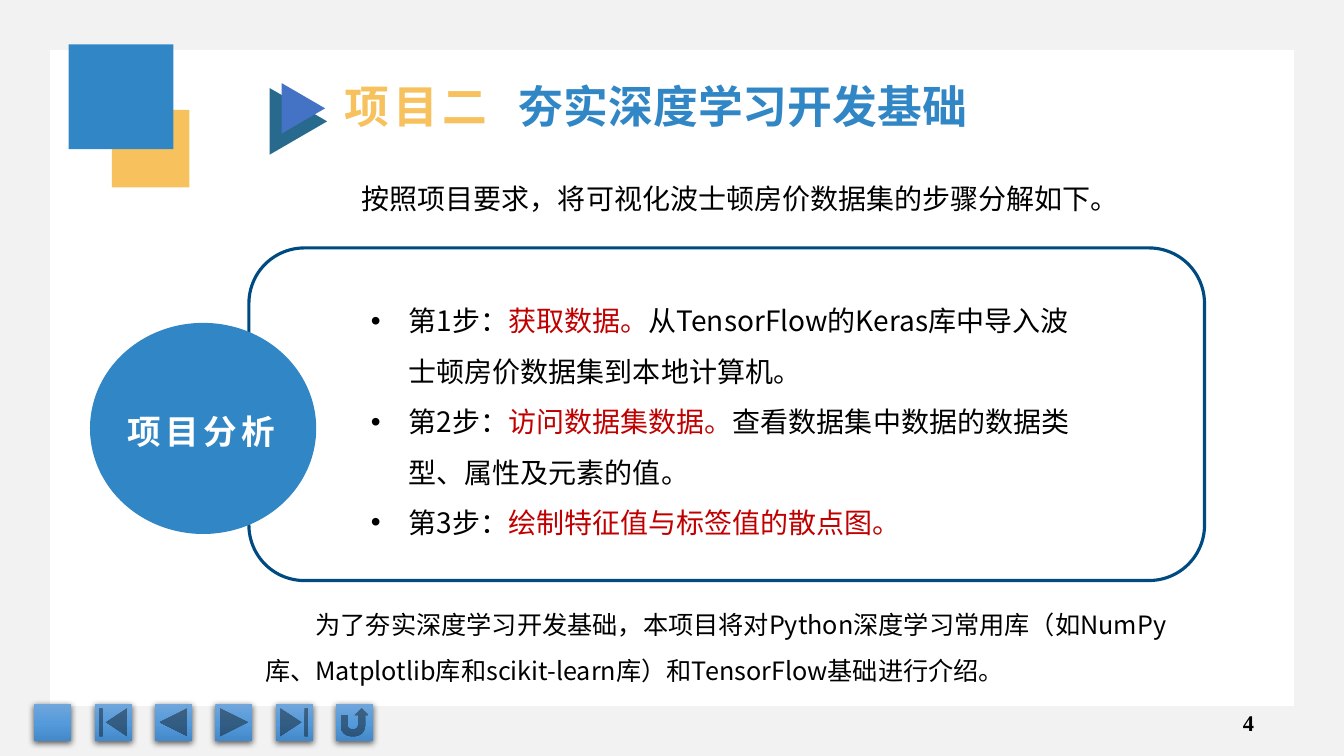
from pptx import Presentation
from pptx import util as u
from pptx.dml.color import RGBColor
from pptx.enum import shapes, text
from pptx.oxml import parse_xml
from pptx.oxml.ns import nsdecls, qn
from lxml import etree

Pt = u.Pt
MSO = shapes.MSO_SHAPE
BLACK = RGBColor(0x00, 0x00, 0x00)
WHITE = RGBColor(0xFF, 0xFF, 0xFF)
GREY = RGBColor(0xF2, 0xF2, 0xF2)
BLUE = RGBColor(0x31, 0x87, 0xC6)
NAVY = RGBColor(0x00, 0x4A, 0x82)
TEAL = RGBColor(0x28, 0x6A, 0x8D)
INDIGO = RGBColor(0x44, 0x72, 0xC4)
YELLOW = RGBColor(0xF7, 0xC1, 0x5D)
RED = RGBColor(0xC0, 0x00, 0x00)
SANS, ROBOTO, TIMES = "Noto Sans CJK SC", "Roboto Condensed", "Times New Roman"

prs = Presentation()
prs.slide_width, prs.slide_height = Pt(960), Pt(540)
s = prs.slides.add_slide(prs.slide_layouts[6])


def add_shape(kind, x, y, w, h, fill=None, line=None, weight=1):
    sp = s.shapes.add_shape(kind, Pt(x), Pt(y), Pt(w), Pt(h))
    sp.shadow.inherit = False
    for part, color in ((sp.fill, fill), (sp.line.fill, line)):
        if color is None:
            part.background()
        else:
            part.solid()
            part.fore_color.rgb = color
    if line is not None:
        sp.line.width = Pt(weight)
    return sp


def add_text(x, y, w, h, paragraphs, size, font=SANS, bold=None, spacing=None):
    """Each paragraph is a list of (words, colour) runs."""
    tb = s.shapes.add_textbox(Pt(x), Pt(y), Pt(w), Pt(h))
    tf = tb.text_frame
    tf.word_wrap = True
    tf.auto_size = text.MSO_AUTO_SIZE.SHAPE_TO_FIT_TEXT
    for i, runs in enumerate(paragraphs):
        p = tf.add_paragraph() if i else tf.paragraphs[0]
        if spacing:
            p.line_spacing = spacing
        for words, color in runs:
            r = p.add_run()
            r.text = words
            r.font.size, r.font.bold, r.font.name = Pt(size), bold, font
            r.font.color.rgb = color
            ea = etree.SubElement(r.font._element, qn("a:ea"))
            ea.set("typeface", SANS if font == ROBOTO else font)
    return tf


# Page frame
frame = add_shape(MSO.FRAME, 0, 0, 960, 540, GREY)
frame.adjustments[0] = 0.066

# Navigation buttons
buttons = (MSO.ACTION_BUTTON_CUSTOM, MSO.ACTION_BUTTON_BEGINNING,
           MSO.ACTION_BUTTON_BACK_OR_PREVIOUS, MSO.ACTION_BUTTON_FORWARD_OR_NEXT,
           MSO.ACTION_BUTTON_END, MSO.ACTION_BUTTON_RETURN)
stops = "".join(f'<a:gs pos="{pos}"><a:srgbClr val="{color}"/></a:gs>' for pos, color in
                ((0, "71A6DB"), (50000, "559BDB"), (100000, "448ACA")))
for i, kind in enumerate(buttons):
    sp = add_shape(kind, 24.5 + 43.1 * i, 502.6, 26.6, 26.6)
    sp.fill.gradient()
    sp.fill.gradient_angle = 270
    spPr = sp._element.spPr
    grad = spPr.find(qn("a:gradFill"))
    grad.replace(grad.find(qn("a:gsLst")),
                 parse_xml(f'<a:gsLst {nsdecls("a")}>{stops}</a:gsLst>'))
    spPr.find(qn("a:effectLst")).append(parse_xml(
        f'<a:outerShdw {nsdecls("a")} blurRad="57150" dist="19050" dir="5400000" '
        'algn="ctr" rotWithShape="0"><a:srgbClr val="000000"><a:alpha val="63000"/>'
        '</a:srgbClr></a:outerShdw>'))

# Page number
tf = add_text(686.9, 501.8, 216, 28.8, [[("4", BLACK)]], 16, TIMES, True)
tf.vertical_anchor = text.MSO_ANCHOR.MIDDLE
tf.paragraphs[0].alignment = text.PP_ALIGN.RIGHT

# Panel and topic circle
add_shape(MSO.ROUNDED_RECTANGLE, 177.8, 177.1, 682.6, 237.6, line=NAVY, weight=2.25)
add_shape(MSO.OVAL, 64.8, 231.1, 160.6, 149.8, BLUE, BLUE)
topic = add_text(84.2, 290.2, 123.8, 36, [[("项目分析", WHITE)]], 24, ROBOTO, True)
topic.paragraphs[0].runs[0].font._element.set("spc", "300")

# Title arrow
for x, y, w, h, color in ((189.4, 66.2, 47.5, 41, TEAL), (198.7, 61.9, 36, 31, INDIGO)):
    add_shape(MSO.ISOSCELES_TRIANGLE, x, y, w, h, color).rotation = 90

# Steps
steps = (("第1步：", "获取数据。", "从TensorFlow的Keras库中导入波士顿房价数据集到本地计算机。"),
         ("第2步：", "访问数据集数据。", "查看数据集中数据的数据类型、属性及元素的值。"),
         ("第3步：", "绘制特征值与标签值的散点图。"))
tf = add_text(257.8, 201.6, 522.7, 189.4,
              [list(zip(step, (BLACK, RED, BLACK))) for step in steps], 20, spacing=1.5)
for p in tf.paragraphs:
    pPr = p._p.get_or_add_pPr()
    pPr.set("marL", str(Pt(27)))
    pPr.set("indent", str(-Pt(27)))
    etree.SubElement(pPr, qn("a:buFont")).set("typeface", "Arial")
    etree.SubElement(pPr, qn("a:buChar")).set("char", "•")

# Closing paragraph
tf = add_text(182.2, 421.2, 673.2, 72.7, [[(
    "为了夯实深度学习开发基础，本项目将对Python深度学习常用库（如NumPy库、"
    "Matplotlib库和scikit-learn库）和TensorFlow基础进行介绍。", BLACK)]], 18, spacing=1.5)
tf.paragraphs[0]._p.get_or_add_pPr().set("indent", str(Pt(36)))

# Corner squares
add_shape(MSO.RECTANGLE, 79.9, 78.5, 55.4, 55.4, YELLOW)
add_shape(MSO.RECTANGLE, 49, 31.7, 74.9, 74.9, BLUE)

# Title, its two parts set apart by a tab stop
tf = add_text(239, 52.6, 483.8, 46.1,
              [[("项目二\t", YELLOW), ("夯实深度学习开发基础", BLUE)]], 32, ROBOTO, True)
p = tf.paragraphs[0]
p.runs[0].font._element.set("spc", "300")
p.runs[1].font.name = SANS
tabs = etree.SubElement(p._p.get_or_add_pPr(), qn("a:tabLst"))
tab = etree.SubElement(tabs, qn("a:tab"))
tab.set("pos", str(Pt(124.5)))
tab.set("algn", "l")

# Introduction
add_text(251.3, 113.8, 535.7, 43.9,
         [[("按照项目要求，将可视化波士顿房价数据集的步骤分解如下。", BLACK)]], 20, spacing=1.5)

prs.save("out.pptx")
